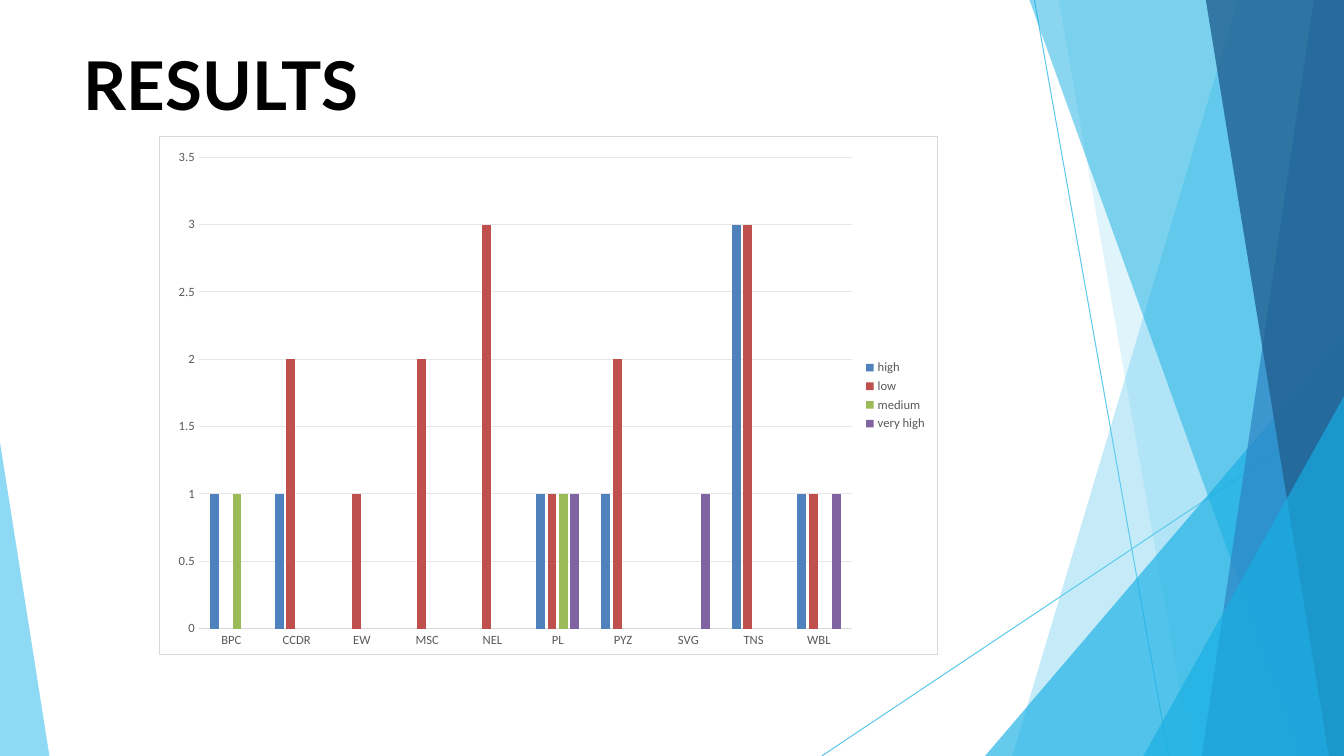
from lxml.etree import SubElement
from pptx import Presentation
from pptx.chart.data import CategoryChartData
from pptx.dml.color import RGBColor
from pptx.enum.chart import XL_CHART_TYPE, XL_LEGEND_POSITION, XL_TICK_MARK
from pptx.enum.shapes import MSO_CONNECTOR
from pptx.enum.text import MSO_ANCHOR, PP_ALIGN
from pptx.oxml import parse_xml
from pptx.oxml.ns import nsdecls, qn
from pptx.util import Inches, Pt

WIDTH, HEIGHT = 13.33, 7.5
SKY, CYAN, BLUE, NAVY = "5FCAEE", "17AFE3", "2D83C3", "226192"
GRAY, BORDER, GRID = "595959", "D9D9D9", "E6E6E6"

RAYS = [((10.26, 0), (11.59, HEIGHT)), ((WIDTH, 4.04), (8.15, HEIGHT))]


def right_band(top_x, bottom_x):
    return [(WIDTH, 0), (top_x, 0), (bottom_x, HEIGHT), (WIDTH, HEIGHT)]


def right_wedge(top, bottom_x):
    return [(WIDTH, top), (bottom_x, HEIGHT), (WIDTH, HEIGHT)]


# Corner points, colour, opacity in percent; back to front
FACETS = [
    (right_band(12.28, 10.04), SKY, 36),
    (right_band(10.5, 11.82), SKY, 20),
    (right_wedge(3.33, 9.77), CYAN, 66),
    (right_band(10.21, 12.91), CYAN, 50),
    (right_band(13.03, 11.92), BLUE, 70),
    (right_band(11.96, 13.18), NAVY, 80),
    (right_wedge(3.93, 11.34), CYAN, 66),
    ([(0, 4.39), (0, HEIGHT), (0.49, HEIGHT)], SKY, 70),
]

CATEGORIES = ["BPC", "CCDR", "EW", "MSC", "NEL", "PL", "PYZ", "SVG", "TNS", "WBL"]
SERIES = [
    ("high", "4F81BD", [1, 1, None, None, None, 1, 1, None, 3, 1]),
    ("low", "C0504D", [None, 2, 1, 2, 3, 1, 2, None, 3, 1]),
    ("medium", "9BBB59", [1, None, None, None, None, 1, None, None, None, None]),
    ("very high", "8064A2", [None, None, None, None, None, 1, None, 1, None, 1]),
]


def color(value):
    return RGBColor.from_string(value)


def set_font(font, name, size, shade, bold=False):
    font.name, font.size, font.bold = name, Pt(size), bold
    font.color.rgb = color(shade)


def set_line(line, shade, width=0.75):
    line.color.rgb = color(shade)
    line.width = Pt(width)


def add_ray(page, start, end):
    ray = page.shapes.add_connector(
        MSO_CONNECTOR.STRAIGHT, *[Inches(value) for value in (*start, *end)])
    set_line(ray.line, SKY)
    SubElement(ray.element.spPr, qn("a:effectLst"))


def add_facet(page, points, shade, opacity):
    corners = [(Inches(x), Inches(y)) for x, y in points]
    builder = page.shapes.build_freeform(*corners[0])
    builder.add_line_segments(corners[1:], close=True)
    facet = builder.convert_to_shape()
    facet.shadow.inherit = False
    facet.line.fill.background()
    facet.fill.solid()
    facet.fill.fore_color.rgb = color(shade)
    tint = facet.element.spPr.find(".//" + qn("a:srgbClr"))
    SubElement(tint, qn("a:alpha"), val=str(opacity * 1000))


def add_backdrop(page):
    for start, end in RAYS:
        add_ray(page, start, end)
    for points, shade, opacity in FACETS:
        add_facet(page, points, shade, opacity)


def place_title(page, text, left, top, width, height):
    title = page.shapes.title
    title.left, title.top = Inches(left), Inches(top)
    title.width, title.height = Inches(width), Inches(height)
    frame = title.text_frame
    frame.margin_left = frame.margin_right = 0
    frame.margin_top = frame.margin_bottom = 0
    frame.vertical_anchor = MSO_ANCHOR.MIDDLE
    para = frame.paragraphs[0]
    para.alignment = PP_ALIGN.LEFT
    span = para.add_run()
    span.text = text
    set_font(span.font, "Lato", 48, "000000", bold=True)


def frame_chart(chart, x, y, width, height):
    """Fill and outline the chart area; place the plot by fractions of it."""
    chart_node = chart.element.find(qn("c:chart"))
    chart_node.addnext(parse_xml(
        f'<c:spPr {nsdecls("c", "a")}>'
        '<a:solidFill><a:srgbClr val="FFFFFF"/></a:solidFill>'
        f'<a:ln w="{Pt(0.75)}"><a:solidFill><a:srgbClr val="{BORDER}"/>'
        '</a:solidFill></a:ln></c:spPr>'))
    plot_area = chart_node.find(qn("c:plotArea"))
    for layout in plot_area.findall(qn("c:layout")):
        plot_area.remove(layout)
    plot_area.insert(0, parse_xml(
        f'<c:layout {nsdecls("c")}><c:manualLayout>'
        '<c:layoutTarget val="inner"/><c:xMode val="edge"/><c:yMode val="edge"/>'
        f'<c:x val="{x}"/><c:y val="{y}"/><c:w val="{width}"/><c:h val="{height}"/>'
        '</c:manualLayout></c:layout>'))


def add_results_chart(page, left, top, width, height):
    data = CategoryChartData()
    data.categories = CATEGORIES
    for name, _, values in SERIES:
        data.add_series(name, values)
    chart = page.shapes.add_chart(
        XL_CHART_TYPE.COLUMN_CLUSTERED, Inches(left), Inches(top),
        Inches(width), Inches(height), data).chart
    chart.has_title = False
    set_font(chart.font, "Calibri", 10, "000000")
    frame_chart(chart, 0.05, 0.04, 0.84, 0.91)

    plot = chart.plots[0]
    plot.gap_width, plot.overlap, plot.vary_by_categories = 246, -28, False
    for series, (_, shade, _) in zip(plot.series, SERIES):
        series.format.fill.solid()
        series.format.fill.fore_color.rgb = color(shade)

    for axis in (chart.category_axis, chart.value_axis):
        axis.major_tick_mark = axis.minor_tick_mark = XL_TICK_MARK.NONE
        set_font(axis.tick_labels.font, "Calibri", 9, GRAY)
    set_line(chart.category_axis.format.line, BORDER)
    value_axis = chart.value_axis
    value_axis.minimum_scale, value_axis.maximum_scale = 0, 3.5
    value_axis.major_unit = 0.5
    value_axis.format.line.fill.background()
    set_line(value_axis.major_gridlines.format.line, GRID)

    chart.has_legend = True
    chart.legend.position = XL_LEGEND_POSITION.RIGHT
    chart.legend.include_in_layout = False
    set_font(chart.legend.font, "Calibri", 9, GRAY)


def main():
    deck = Presentation()
    deck.slide_width, deck.slide_height = Inches(WIDTH), Inches(HEIGHT)
    page = deck.slides.add_slide(deck.slide_layouts.get_by_name("Title Only"))
    add_backdrop(page)
    place_title(page, "RESULTS", 0.83, 0.42, 11.68, 0.81)
    add_results_chart(page, 1.58, 1.35, 7.72, 5.15)
    deck.save("out.pptx")


if __name__ == "__main__":
    main()
